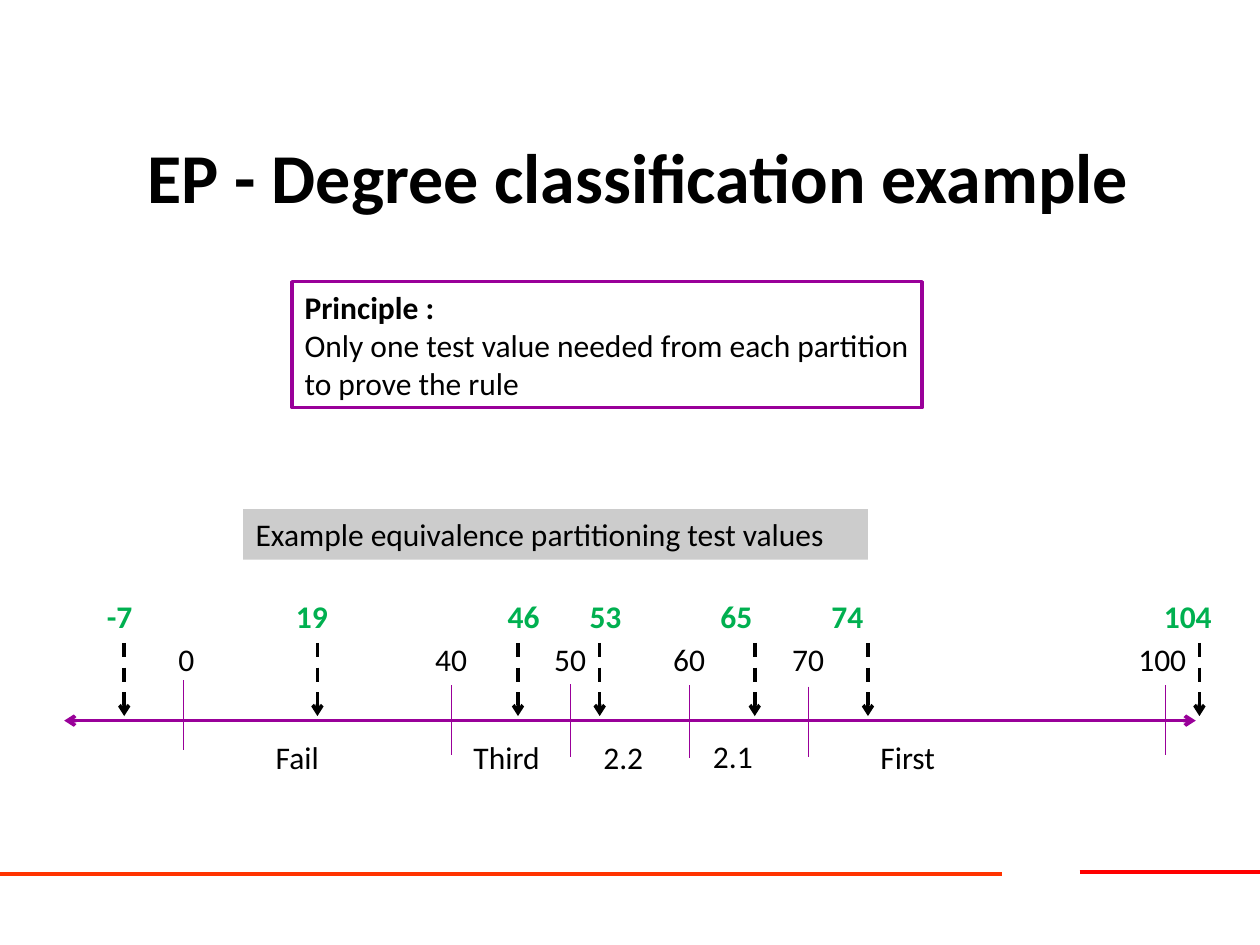
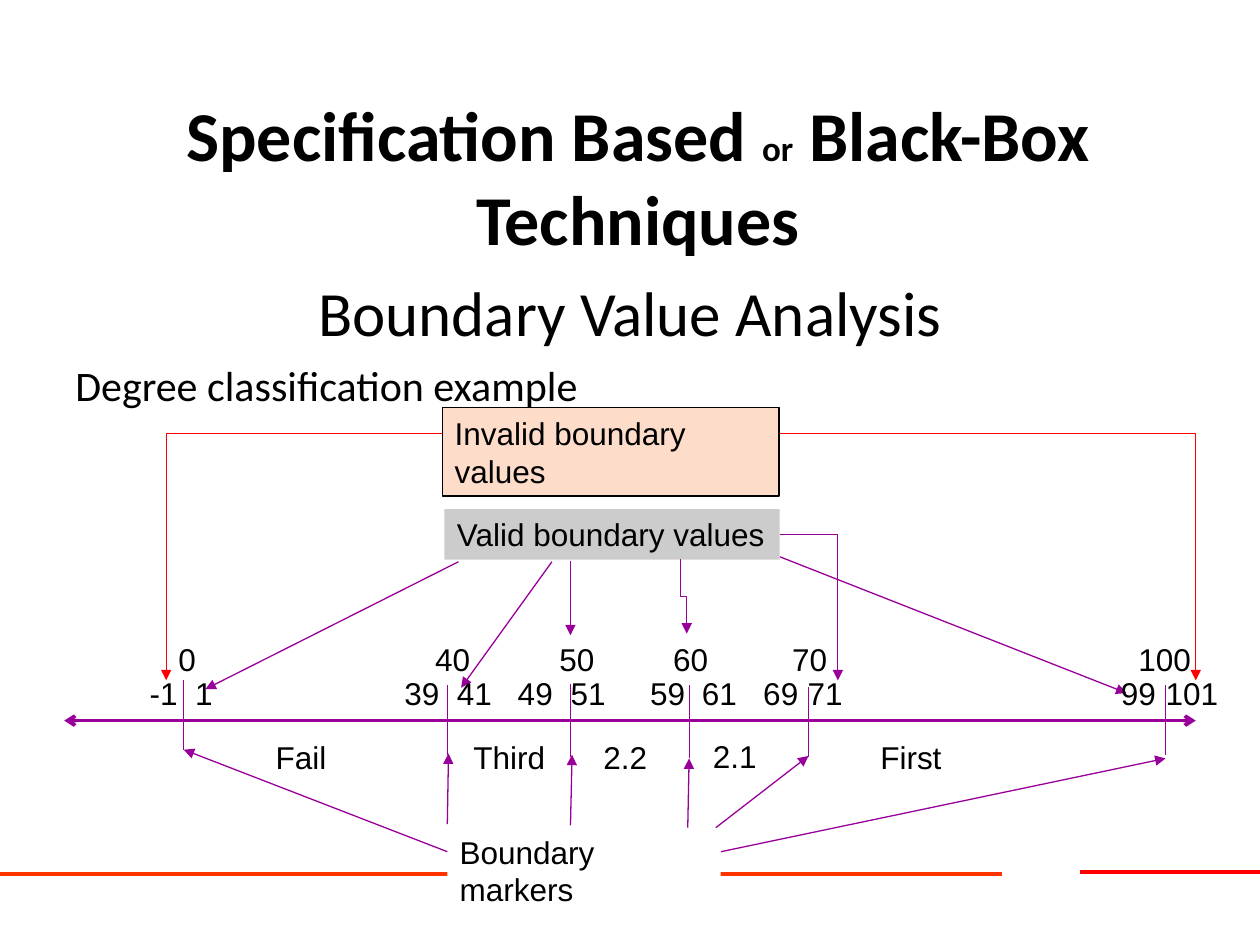
"""Build two slides on test values for degree classes."""
import dataclasses

import lxml.etree
import pptx
import pptx.dml.color
import pptx.enum.dml
import pptx.enum.shapes
import pptx.enum.text
import pptx.oxml.ns
import pptx.util

Pt = pptx.util.Pt
qn = pptx.oxml.ns.qn
Align = pptx.enum.text.PP_ALIGN
Link = pptx.enum.shapes.MSO_CONNECTOR


@dataclasses.dataclass(frozen=True)
class Theme:
    ink: str = "000000"
    white: str = "FFFFFF"
    purple: str = "990099"
    green: str = "00B050"
    red: str = "FF0000"
    orange: str = "FF3300"
    grey: str = "CCCCCC"
    peach: str = "FDDCC9"
    head: int = 40
    sub: int = 36
    lead: int = 24
    small: int = 20
    body: int = 18
    thin: float = 0.75
    bold: float = 2
    rule: float = 2.25


MARKS = {0: 105} | {mark: 258 + 6.8 * (mark - 40) for mark in (40, 50, 60, 70, 100)}
TICKS = {0: (388.8, 428.4), 40: (391.7, 431.3), 50: (391, 432.7),
         60: (391.7, 433.4), 70: (392.4, 432.7), 100: (391.7, 431.3)}
GRADES = {"Fail": (150.5, 418.3), "Third": (263.5, 418.3), "2.2": (337.7, 418.3),
          "2.1": (400.3, 417.6), "First": (496, 418.3)}
TESTS = {"-7": 0, "19": 108, "46": 229, "53": 275.8, "65": 350.6, "74": 414, "104": 604}
EDGES = {"-1": 0, "1": 26, "39": 145.5, "41": 175.5, "49": 210.3, "51": 240.5,
         "59": 286, "61": 315.5, "69": 350.6, "71": 376, "99": 555, "101": 580.5}


def tint(code):
    return pptx.dml.color.RGBColor.from_string(code)


def style(item, values):
    for name, value in values.items():
        setattr(item, name, value)


class Deck:
    def __init__(self, theme):
        self.theme = theme
        self.file = pptx.Presentation()
        style(self.file, {"slide_width": Pt(720), "slide_height": Pt(540)})
        self.slide = None
        self.face = "Calibri"

    def start(self, face, *runs):
        look = self.theme
        self.slide = self.file.slides.add_slide(self.file.slide_layouts[5])
        title = self.slide.shapes.title
        style(title, {"left": Pt(9), "top": Pt(55.5), "width": Pt(711), "height": Pt(90)})
        self.face = "Calibri"
        self.fill(title.text_frame, [runs], anchor=pptx.enum.text.MSO_ANCHOR.MIDDLE,
                  align=Align.CENTER, size=look.head, bold=True)
        self.line((617, 498.2), (720, 498.2), look.red, look.rule)
        self.line((0, 499.7), (572.4, 499.7), look.orange, look.rule)
        self.face = face

    def fill(self, frame, paras, anchor=pptx.enum.text.MSO_ANCHOR.TOP,
             align=Align.LEFT, gap=0, tabs=(), **font):
        style(frame, {"word_wrap": True, "vertical_anchor": anchor,
                      "auto_size": pptx.enum.text.MSO_AUTO_SIZE.NONE})
        base = {"size": self.theme.body, "color": self.theme.ink, "bold": False,
                "name": self.face} | font
        for index, runs in enumerate(paras):
            para = frame.add_paragraph() if index else frame.paragraphs[0]
            if tabs:
                stops = lxml.etree.SubElement(para._p.get_or_add_pPr(), qn("a:tabLst"))
                for stop in tabs:
                    lxml.etree.SubElement(stops, qn("a:tab"), pos=str(Pt(stop)), algn="l")
            style(para, {"alignment": align, "space_before": Pt(gap if index else 0)})
            for words, extra in runs:
                run = para.add_run()
                run.text = words
                form = base | extra
                run.font.color.rgb = tint(form.pop("color"))
                style(run.font, form | {"size": Pt(form["size"])})

    def text(self, place, *paras, **form):
        box = self.slide.shapes.add_textbox(*map(Pt, place))
        self.fill(box.text_frame, paras, **form)
        return box

    def label(self, words, left, top, width=62.6):
        self.text((left, top, width, 28.8), [(words, {})])

    def row(self, place, stops, **form):
        self.text(place, [("\t".join(stops), {})], tabs=list(stops.values())[1:], **form)

    def panel(self, place, fill, *paras, edge=None, width=0):
        box = self.slide.shapes.add_shape(
            pptx.enum.shapes.MSO_SHAPE.RECTANGLE, *map(Pt, place))
        box.shadow.inherit = False
        box.fill.solid()
        box.fill.fore_color.rgb = tint(fill)
        if edge:
            box.line.color.rgb = tint(edge)
            box.line.width = Pt(width)
        else:
            box.line.fill.background()
        self.fill(box.text_frame, paras)

    def line(self, start, end, color, width, head=None, tail=None, dash=None,
             kind=Link.STRAIGHT):
        link = self.slide.shapes.add_connector(kind, *map(Pt, start + end))
        link.line.color.rgb = tint(color)
        style(link.line, {"width": Pt(width), "dash_style": dash})
        stroke = link.line._get_or_add_ln()
        for tag, tip in (("a:headEnd", head), ("a:tailEnd", tail)):
            if tip:
                lxml.etree.SubElement(stroke, qn(tag), type=tip)
        lxml.etree.SubElement(link._element.spPr, qn("a:effectLst"))
        return link

    def arrow(self, start, end):
        self.line(start, end, self.theme.purple, self.theme.thin, tail="triangle")

    def elbow(self, start, end, color, turn=None):
        link = self.line(start, end, color, self.theme.thin, tail="triangle",
                         kind=Link.ELBOW)
        shape = link._element.spPr
        if turn:
            shape.find(qn("a:xfrm")).set("rot", str(turn * 60000))
        else:
            shape.find(qn("a:prstGeom")).set("prst", "bentConnector2")

    def scale(self, ticks={}, marks={}):
        look = self.theme
        self.line((36.7, 411.8), (683.3, 411.8), look.purple, look.bold, "arrow", "arrow")
        for mark, left in MARKS.items():
            top, base = TICKS[mark]
            spot = left + ticks.get(mark, 0)
            self.line((spot, top), (spot, base), look.purple, look.thin)
            inset = 4 + 6.2 * len(str(mark))
            self.label(str(mark), left - inset + marks.get(mark, 0), 362, 54)
        for grade, place in GRADES.items():
            self.label(grade, *place)


def classes(deck):
    look = deck.theme
    deck.start("Calibri", ("EP - Degree classification example", {}))
    deck.scale()
    deck.panel((139, 291, 357, 28.8), look.grey,
               [("Example equivalence partitioning test values", {})])
    deck.row((54, 337.7, 652.3, 28.8), TESTS, color=look.green, bold=True)
    for left in (71, 181.4, 296, 342.7, 431.3, 496, 685.4):
        deck.line((left, 367.4), (left, 409.2), look.ink, look.bold, tail="arrow",
                  dash=pptx.enum.dml.MSO_LINE.DASH)
    deck.panel((167, 161, 360, 72), look.white, [("Principle :", {"bold": True})],
               [("Only one test value needed from each partition to prove the rule", {})],
               edge=look.purple, width=look.bold)


def bounds(deck):
    look = deck.theme
    deck.start("Arial", ("Specification Based ", {}), ("or", {"size": look.small}),
               (" Black-Box Techniques", {}))
    intro = deck.text((36, 152.6, 648, 100.8),
                      [("Boundary Value Analysis", {"size": look.sub})],
                      [("Degree classification example", {"size": look.lead})],
                      gap=6, name="Calibri")
    intro.text_frame.paragraphs[0].alignment = Align.CENTER
    deck.scale(ticks={40: -2.4}, marks={50: 3})
    deck.panel((255.6, 472.3, 156.2, 50.4), look.white, [("Boundary markers", {})])
    deck.panel((254, 291, 191.5, 28.8), look.grey, [("Valid boundary values", {})])
    deck.panel((252.7, 233, 192.5, 50.4), look.peach, [("Invalid boundary values", {})],
               edge=look.ink, width=look.thin)
    for start, end in (
            ((262, 321), (117.4, 393.8)), ((315.4, 321), (263.5, 393)),
            ((326, 320.4), (326, 363)), ((445.7, 318.2), (643.7, 396)),
            ((255.6, 486.7), (105, 428.4)), ((412, 486.7), (666, 433.4)),
            ((255.6, 471), (256.3, 430.6)), ((326, 471.6), (326.9, 431.3)),
            ((393, 473), (393.8, 433.4)), ((409, 473), (462, 432))):
        deck.arrow(start, end)
    deck.row((78.5, 381.6, 629.3, 28.8), EDGES)
    deck.elbow((252.7, 247.7), (95, 388.8), look.red)
    deck.elbow((445.7, 247.7), (683.3, 388.8), look.red)
    deck.elbow((445.7, 305.3), (478.8, 388.8), look.purple)
    deck.elbow((411.8, 339.1), (369.4, 342.7), look.purple, turn=270)


def main():
    deck = Deck(Theme())
    classes(deck)
    bounds(deck)
    deck.file.save("out.pptx")


if __name__ == "__main__":
    main()
